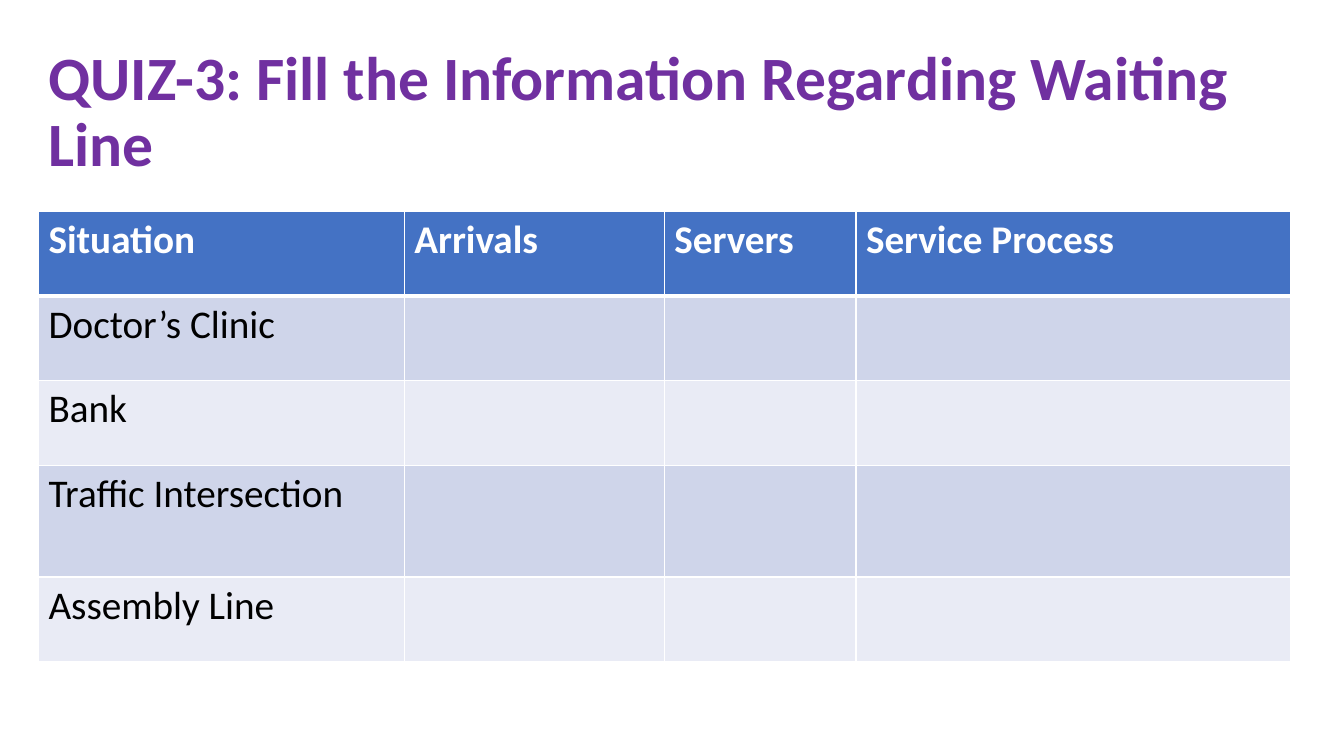
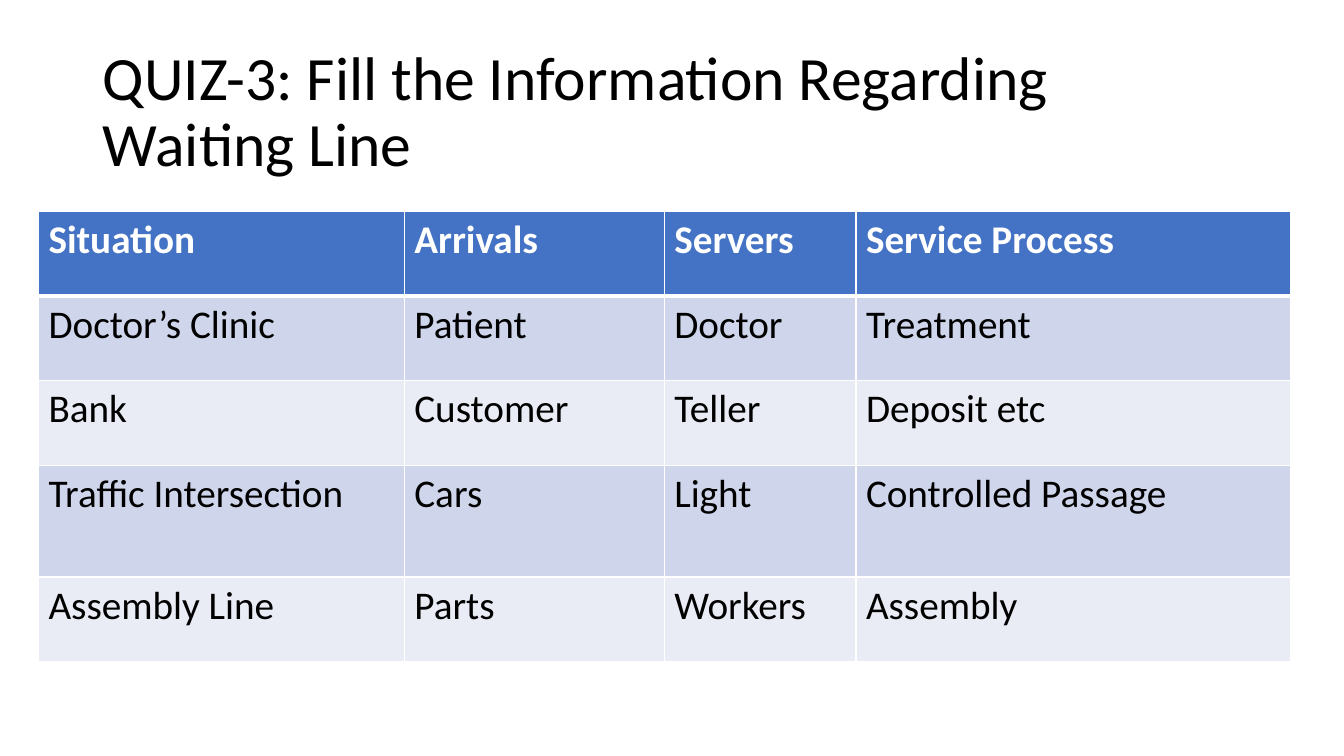
from pptx import Presentation
from pptx.dml.color import RGBColor
from pptx.enum import text
from pptx.oxml import parse_xml
from pptx.oxml.ns import nsdecls
from pptx.util import Cm, Pt

FONT = "Calibri"
WHITE = RGBColor(0xFF, 0xFF, 0xFF)
BLACK = RGBColor(0, 0, 0)
PURPLE = RGBColor(0x70, 0x30, 0xA0)
BLUE = RGBColor(0x44, 0x72, 0xC4)
BANDS = (RGBColor(0xE9, 0xEB, 0xF5), RGBColor(0xCF, 0xD5, 0xEA))

TITLE = "QUIZ-3: Fill the Information Regarding Waiting Line"
HEADS = ("Situation", "Arrivals", "Servers", "Service Process")
CASES = (
    ("Doctor’s Clinic", "Patient", "Doctor", "Treatment"),
    ("Bank", "Customer", "Teller", "Deposit etc"),
    ("Traffic Intersection", "Cars", "Light", "Controlled Passage"),
    ("Assembly Line", "Parts", "Workers", "Assembly"),
)
WIDTHS = (9.22, 6.55, 4.83, 10.95)
HEIGHTS = (2.13, 2.13, 2.13, 2.82, 2.13)
LEFT, TOP = 0.97, 5.33


def style(frame, size, color, bold):
    """Format every run of a text frame."""
    for para in frame.paragraphs:
        for run in para.runs:
            font = run.font
            font.name, font.size, font.bold = FONT, Pt(size), bold
            font.color.rgb = color


def add_title(slide, left, width, color, bold):
    """Add the quiz title above the table."""
    box = slide.shapes.add_textbox(Cm(left), Cm(1.02), Cm(width), Cm(3.68))
    frame = box.text_frame
    frame.word_wrap = True
    frame.vertical_anchor = text.MSO_ANCHOR.MIDDLE
    frame.text = TITLE
    frame.paragraphs[0].line_spacing = 0.9
    style(frame, 44, color, bold)


def add_edge(cell, side, width):
    """Draw one white border of a cell."""
    cell._tc.get_or_add_tcPr().append(parse_xml(
        f'<a:ln{side} {nsdecls("a")} w="{Pt(width)}"><a:solidFill>'
        f'<a:srgbClr val="{WHITE}"/></a:solidFill></a:ln{side}>'))


def fill_cell(cell, words, row):
    """Write one cell and give it the look of its row."""
    head = row == 0
    for side in "LRTB":
        thick = (side == "B" and row == 0) or (side == "T" and row == 1)
        add_edge(cell, side, 3 if thick else 1)
    cell.fill.solid()
    cell.fill.fore_color.rgb = BLUE if head else BANDS[row % 2]
    cell.text_frame.text = words
    style(cell.text_frame, 28, WHITE if head else BLACK, head)


def add_grid(slide, solved):
    """Add the quiz table, with or without its answers."""
    rows = (HEADS,) + CASES
    grid = slide.shapes.add_table(
        len(rows), len(HEADS), Cm(LEFT), Cm(TOP),
        Cm(sum(WIDTHS)), Cm(sum(HEIGHTS))).table
    for col, width in zip(grid.columns, WIDTHS):
        col.width = Cm(width)
    for r, (line, height) in enumerate(zip(rows, HEIGHTS)):
        grid.rows[r].height = Cm(height)
        for c, words in enumerate(line):
            shown = solved or r == 0 or c == 0
            fill_cell(grid.cell(r, c), words if shown else "", r)


def main():
    """Build the quiz slide and the answer slide."""
    deck = Presentation()
    deck.slide_width, deck.slide_height = Cm(33.87), Cm(19.05)
    blank = deck.slide_layouts[6]

    quiz = deck.slides.add_slide(blank)
    add_title(quiz, LEFT, 32.44, PURPLE, True)
    add_grid(quiz, False)

    answer = deck.slides.add_slide(blank)
    add_title(answer, 2.34, 29.21, BLACK, False)
    add_grid(answer, True)

    deck.save("out.pptx")


main()
